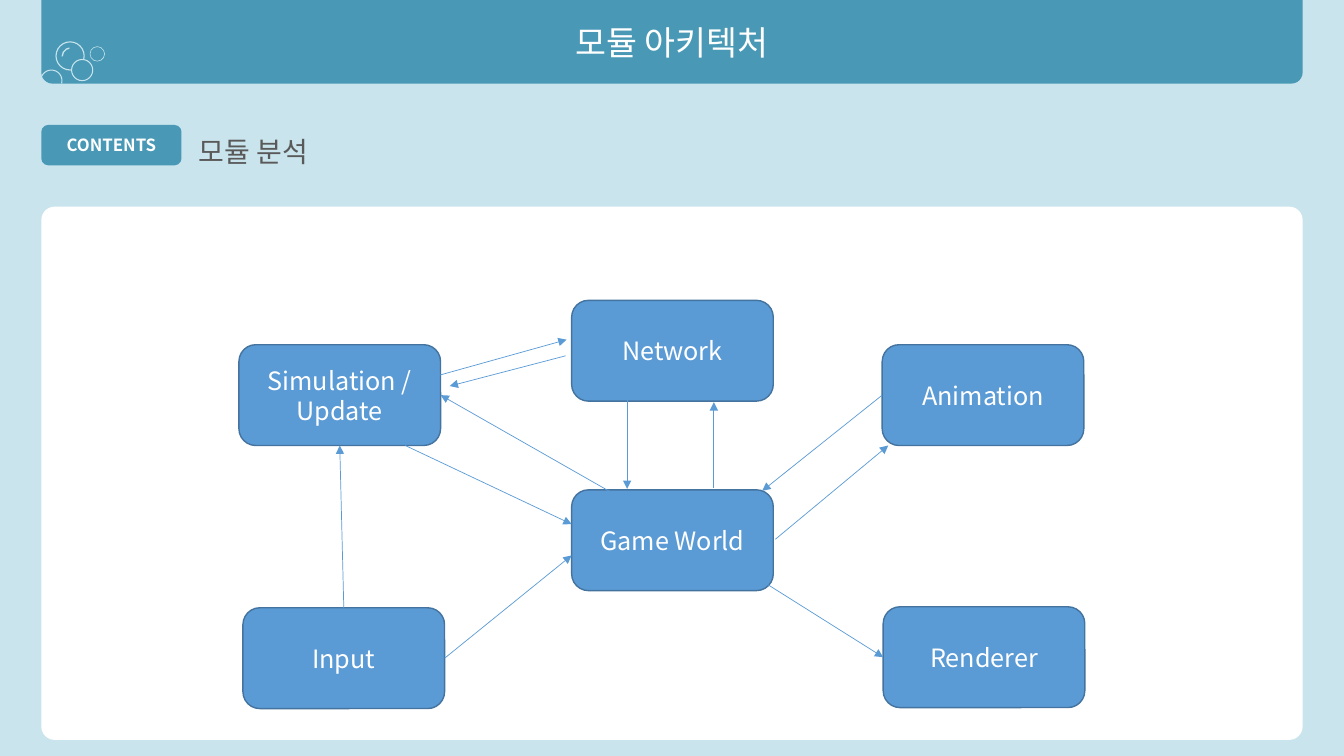
import math

import pptx
import pptx.dml.color
import pptx.enum.shapes
import pptx.enum.text
import pptx.oxml
import pptx.oxml.ns
import pptx.util

Inches = pptx.util.Inches
Pt = pptx.util.Pt
RGBColor = pptx.dml.color.RGBColor
SHAPE = pptx.enum.shapes.MSO_SHAPE
ALIGN = pptx.enum.text.PP_ALIGN
qn = pptx.oxml.ns.qn

FONT = "Noto Sans CJK KR"
PALE = RGBColor(0xC9, 0xE4, 0xED)
TEAL = RGBColor(0x49, 0x99, 0xB6)
BLUE = RGBColor(0x5B, 0x9B, 0xD5)
NAVY = RGBColor(0x43, 0x73, 0x9E)
GRAY = RGBColor(0x59, 0x59, 0x59)
WHITE = RGBColor(0xFF, 0xFF, 0xFF)

prs = pptx.Presentation()
prs.slide_width = Inches(13.33)
prs.slide_height = Inches(7.5)
s = prs.slides.add_slide(prs.slide_layouts[5])
s.background.fill.solid()
s.background.fill.fore_color.rgb = PALE


def add_box(kind, left, top, width, height, fill, adjustments=(), line=None, weight=1):
    sp = s.shapes.add_shape(kind, Inches(left), Inches(top), Inches(width), Inches(height))
    sp.shadow.inherit = False
    sp.fill.solid()
    sp.fill.fore_color.rgb = fill
    for i, value in enumerate(adjustments):
        sp.adjustments[i] = value
    if line is None:
        sp.line.fill.background()
    else:
        sp.line.color.rgb = line
        sp.line.width = Pt(weight)
    return sp


def write(sp, text, size, color=WHITE, align=ALIGN.CENTER, bold=False, spacing=1.0):
    tf = sp.text_frame
    tf.text = text
    tf.word_wrap = True
    tf.vertical_anchor = pptx.enum.text.MSO_ANCHOR.MIDDLE
    p = tf.paragraphs[0]
    p.alignment = align
    p.line_spacing = spacing
    r = p.runs[0]
    r.font.name = FONT
    r.font.size = Pt(size)
    r.font.bold = bold
    r.font.color.rgb = color
    ea = pptx.oxml.parse_xml(f'<a:ea {pptx.oxml.ns.nsdecls("a")} typeface="{FONT}"/>')
    r.font._element.find(qn("a:latin")).addnext(ea)


add_box(SHAPE.ROUNDED_RECTANGLE, 0.41, 2.05, 12.51, 5.29, WHITE, [0.025])

subtitle = s.shapes.add_textbox(Inches(1.87), Inches(1.04), Inches(7.23), Inches(0.76))
write(subtitle, "모듈 분석", 20, GRAY, ALIGN.LEFT, spacing=1.5)
label = add_box(SHAPE.ROUNDED_RECTANGLE, 0.41, 1.24, 1.39, 0.4, TEAL, [0.168])
write(label, "CONTENTS", 12, bold=True)

banner = add_box(SHAPE.ROUND_2_SAME_RECTANGLE, 0.41, 0, 12.51, 0.83, TEAL, [0, 0.134])
title = s.shapes.title
title.left, title.top, title.width, title.height = banner.left, banner.top, banner.width, banner.height
write(title, "모듈 아키텍처", 24)
banner._element.addnext(title._element)

add_box(SHAPE.DONUT, 0.55, 0.41, 0.29, 0.29, PALE, [0.038])
add_box(SHAPE.BLOCK_ARC, 0.61, 0.47, 0.18, 0.18, PALE, [108, 157.413, 0.076])
add_box(SHAPE.OVAL, 0.71, 0.59, 0.21, 0.21, TEAL, line=PALE, weight=0.75)
add_box(SHAPE.DONUT, 0.89, 0.46, 0.15, 0.15, PALE, [0.038])

angles = [math.radians(a) for a in range(205, 376, 10)]
rim = [(0.11, a) for a in angles] + [(0.1, a) for a in reversed(angles)]
points = [(Inches(0.51 + d * math.cos(a)), Inches(0.8 + d * math.sin(a))) for d, a in rim]
builder = s.shapes.build_freeform(*points[0])
builder.add_line_segments(points[1:], close=True)
bubble = builder.convert_to_shape()
bubble.shadow.inherit = False
bubble.fill.solid()
bubble.fill.fore_color.rgb = PALE
bubble.line.fill.background()

modules = {}
for name, left, top in [
    ("Game World", 5.67, 4.86),
    ("Input", 2.41, 6.03),
    ("Simulation / Update", 2.37, 3.42),
    ("Animation", 8.75, 3.42),
    ("Renderer", 8.76, 6.02),
    ("Network", 5.67, 2.98),
]:
    modules[name] = add_box(SHAPE.ROUNDED_RECTANGLE, left, top, 2, 1, BLUE, line=NAVY)
    write(modules[name], name, 18)

for start, end, source, target in [
    ((3.41, 6.03), (3.37, 4.42), ("Input", 0), ("Simulation / Update", 2)),
    ((4.41, 6.53), (5.67, 5.51), ("Input", 3), None),
    ((4.02, 4.42), (5.67, 5.2), None, None),
    ((6.09, 4.9), (4.37, 3.92), None, ("Simulation / Update", 3)),
    ((6.22, 3.96), (6.22, 4.85), None, None),
    ((7.08, 4.84), (7.08, 3.99), None, None),
    ((8.75, 3.92), (7.56, 4.87), ("Animation", 1), None),
    ((7.69, 5.35), (8.81, 4.42), None, None),
    ((7.52, 5.74), (8.76, 6.52), None, ("Renderer", 1)),
    ((4.33, 3.73), (5.62, 3.37), None, None),
    ((5.61, 3.53), (4.46, 3.83), None, None),
]:
    arrow = s.shapes.add_connector(
        pptx.enum.shapes.MSO_CONNECTOR.STRAIGHT, *[Inches(v) for v in start + end]
    )
    if source:
        arrow.begin_connect(modules[source[0]], source[1])
    if target:
        arrow.end_connect(modules[target[0]], target[1])
    arrow.line.color.rgb = BLUE
    arrow.line.width = Pt(0.5)
    ln = arrow.line._get_or_add_ln()
    ln.append(pptx.oxml.parse_xml(f'<a:tailEnd {pptx.oxml.ns.nsdecls("a")} type="triangle"/>'))
    ln.addnext(pptx.oxml.parse_xml(f'<a:effectLst {pptx.oxml.ns.nsdecls("a")}/>'))

prs.save("out.pptx")
